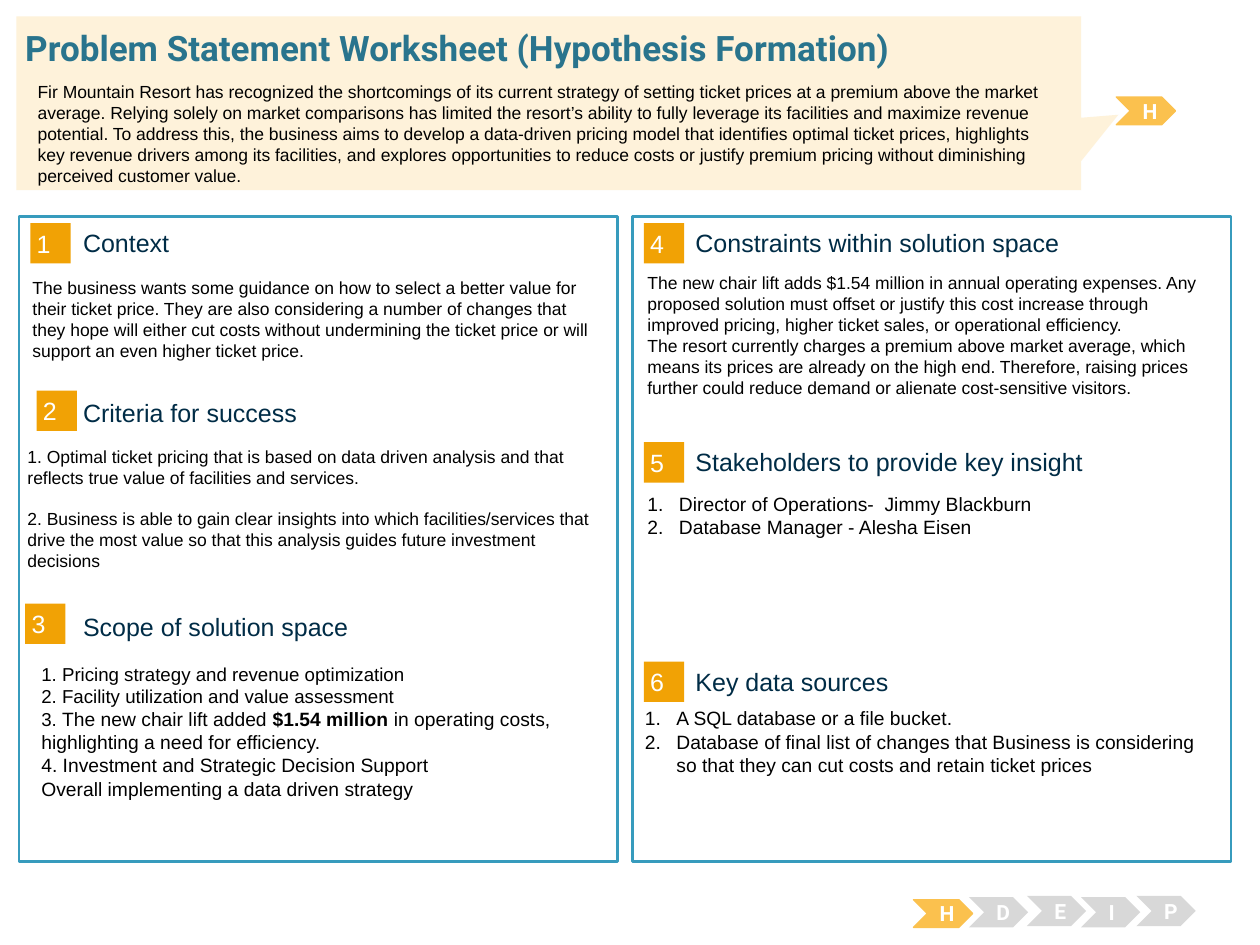
"""Build the problem statement worksheet slide."""
from lxml.etree import SubElement
from pptx import Presentation
from pptx.dml.color import RGBColor
from pptx.enum.shapes import MSO_SHAPE as SHAPE
from pptx.enum.text import MSO_ANCHOR as ANCHOR, PP_ALIGN as ALIGN
from pptx.oxml.ns import qn
from pptx.util import Pt

PX = 9144
COLOURS = {"white": "FFFFFF", "black": "000000", "frame": "379BBD", "badge": "F1A205",
           "heading": "002C46", "title": "29748D", "banner": "FEF2DA",
           "active": "FBC14E", "idle": "D8D8D8"}

TITLE = "Problem Statement Worksheet (Hypothesis Formation)"
SUMMARY = ["Fir Mountain Resort has recognized the shortcomings of its current strategy of setting ticket prices at a premium above the market average. Relying solely on market comparisons has limited the resort’s ability to fully leverage its facilities and maximize revenue potential. To address this, the business aims to develop a data-driven pricing model that identifies optimal ticket prices, highlights key revenue drivers among its facilities, and explores opportunities to reduce costs or justify premium pricing without diminishing perceived customer value."]

FRAMES = [(15, 172, 475, 512), (502, 172, 475, 512)]
SECTIONS = [
    {"heading": "Context", "badge": (24, 177), "label": (66, 180),
     "body": (16, 215, 473, 100), "format": {"size": 10},
     "text": ["The business wants some guidance on how to select a better value for their ticket price. They are also considering a number of changes that they hope will either cut costs without undermining the ticket price or will support an even higher ticket price."]},
    {"heading": "Criteria for success", "badge": (29, 310), "label": (66, 315),
     "body": (12, 349, 473, 129), "format": {"size": 10, "gap": 11.5},
     "text": ["1. Optimal ticket pricing that is based on data driven analysis and that reflects true value of facilities and services.",
              "2. Business is able to gain clear insights into which facilities/services that drive the most value so that this analysis guides future investment decisions"]},
    {"heading": "Scope of solution space", "badge": (20, 479), "label": (66, 485),
     "body": (23, 521, 473, 129), "format": {"size": 10.7},
     "text": ["1. Pricing strategy and revenue optimization",
              "2. Facility utilization and value assessment",
              [("3. ", 10.7, False), ("The new chair lift added ", 11, False),
               ("$1.54 million", 11, True),
               (" in operating costs, highlighting a need for efficiency.", 11, False)],
              [("4. Investment and Strategic Decision Support", 11, False)],
              [("Overall implementing a data driven strategy", 11, False)]]},
    {"heading": "Constraints within solution space", "badge": (511, 177), "label": (552, 180),
     "body": (504, 211, 473, 135), "format": {"size": 10},
     "text": ["The new chair lift adds $1.54 million in annual operating expenses. Any proposed solution must offset or justify this cost increase through improved pricing, higher ticket sales, or operational efficiency.",
              "The resort currently charges a premium above market average, which means its prices are already on the high end. Therefore, raising prices further could reduce demand or alienate cost-sensitive visitors."]},
    {"heading": "Stakeholders to provide key insight", "badge": (511, 351), "label": (552, 354),
     "body": (504, 386, 473, 118), "format": {"size": 11, "numbered": True},
     "text": ["Director of Operations-  Jimmy Blackburn", "Database Manager - Alesha Eisen"]},
    {"heading": "Key data sources", "badge": (511, 525), "label": (552, 528),
     "body": (502, 556, 473, 118), "format": {"size": 11, "numbered": True},
     "text": ["A SQL database or a file bucket.",
              "Database of final list of changes that Business is considering so that they can cut costs and retain ticket prices"]},
]
STEPS = [("H", (725, 714, 47, 22), "active"), ("D", (769, 712, 47, 24), "idle"),
         ("E", (815, 711, 47, 24), "idle"), ("I", (858, 712, 47, 24), "idle"),
         ("P", (902, 711, 47, 24), "idle"), ("H", (886, 77, 47, 22), "active")]


def emu(lengths):
    return [length * PX for length in lengths]


def colour(name):
    return RGBColor.from_string(COLOURS[name])


def number(para):
    properties = para._p.get_or_add_pPr()
    properties.set("marL", str(25 * PX))
    properties.set("indent", str(-25 * PX))
    SubElement(properties, qn("a:buFont"), typeface="+mj-lt")
    SubElement(properties, qn("a:buAutoNum"), type="arabicPeriod")


def write(box, paragraphs, size=10, font="Arial", ink="black", bold=False, align=ALIGN.LEFT,
          anchor=ANCHOR.TOP, insets=(10, 5), gap=0, numbered=False):
    frame = box.text_frame
    frame.word_wrap = True
    frame.vertical_anchor = anchor
    frame.margin_left = frame.margin_right = insets[0] * PX
    frame.margin_top = frame.margin_bottom = insets[1] * PX
    for index, content in enumerate(paragraphs):
        para = frame.add_paragraph() if index else frame.paragraphs[0]
        para.alignment = align
        para.space_before = Pt(gap if index else 0)
        if numbered:
            number(para)
        spans = [(content, size, bold)] if isinstance(content, str) else content
        for text, points, heavy in spans:
            span = para.add_run()
            span.text = text
            span.font.name, span.font.size, span.font.bold = font, Pt(points), heavy
            span.font.color.rgb = colour(ink)


def add_box(page, kind, place, fill, line=None, width=0.75):
    box = page.shapes.add_shape(kind, *emu(place))
    box.shadow.inherit = False
    box.fill.solid()
    box.fill.fore_color.rgb = colour(fill)
    if line:
        box.line.color.rgb = colour(line)
        box.line.width = Pt(width)
    else:
        box.line.fill.background()
    return box


def add_text(page, place, paragraphs, **formats):
    write(page.shapes.add_textbox(*emu(place)), paragraphs, **formats)


def add_section(page, order, section):
    badge = add_box(page, SHAPE.RECTANGLE, (*section["badge"], 32, 32), "badge")
    write(badge, [str(order)], size=14.3, ink="white", anchor=ANCHOR.MIDDLE, insets=(5, 5))
    add_text(page, (*section["label"], 393, 25), [section["heading"]], size=14.3,
             ink="heading", anchor=ANCHOR.MIDDLE, insets=(0, 0))
    add_text(page, section["body"], section["text"], **section["format"])


def add_header(page):
    banner = add_box(page, SHAPE.RECTANGULAR_CALLOUT, (13, 13, 845, 138), "banner")
    banner.adjustments[0], banner.adjustments[1] = 0.535, 0.066
    title = page.shapes.title
    title.left, title.top, title.width, title.height = emu((20, 21, 962, 34))
    write(title, [TITLE], size=20, font="Roboto", ink="title", bold=True,
          anchor=ANCHOR.MIDDLE, insets=(0, 0))
    banner.element.addnext(title.element)
    add_text(page, (20, 59, 829, 77), SUMMARY)


def main():
    deck = Presentation()
    deck.slide_width, deck.slide_height = emu((1000, 750))
    page = deck.slides.add_slide(deck.slide_layouts[5])
    for place in FRAMES:
        add_box(page, SHAPE.RECTANGLE, place, "white", line="frame", width=1.5)
    for order, section in enumerate(SECTIONS, 1):
        add_section(page, order, section)
    for letter, place, state in STEPS:
        step = add_box(page, SHAPE.CHEVRON, place, state,
                       line="active" if state == "active" else None)
        write(step, [letter], size=12, font="Roboto", ink="white", bold=True,
              align=ALIGN.CENTER, anchor=ANCHOR.MIDDLE)
    add_header(page)
    deck.save("out.pptx")


if __name__ == "__main__":
    main()
